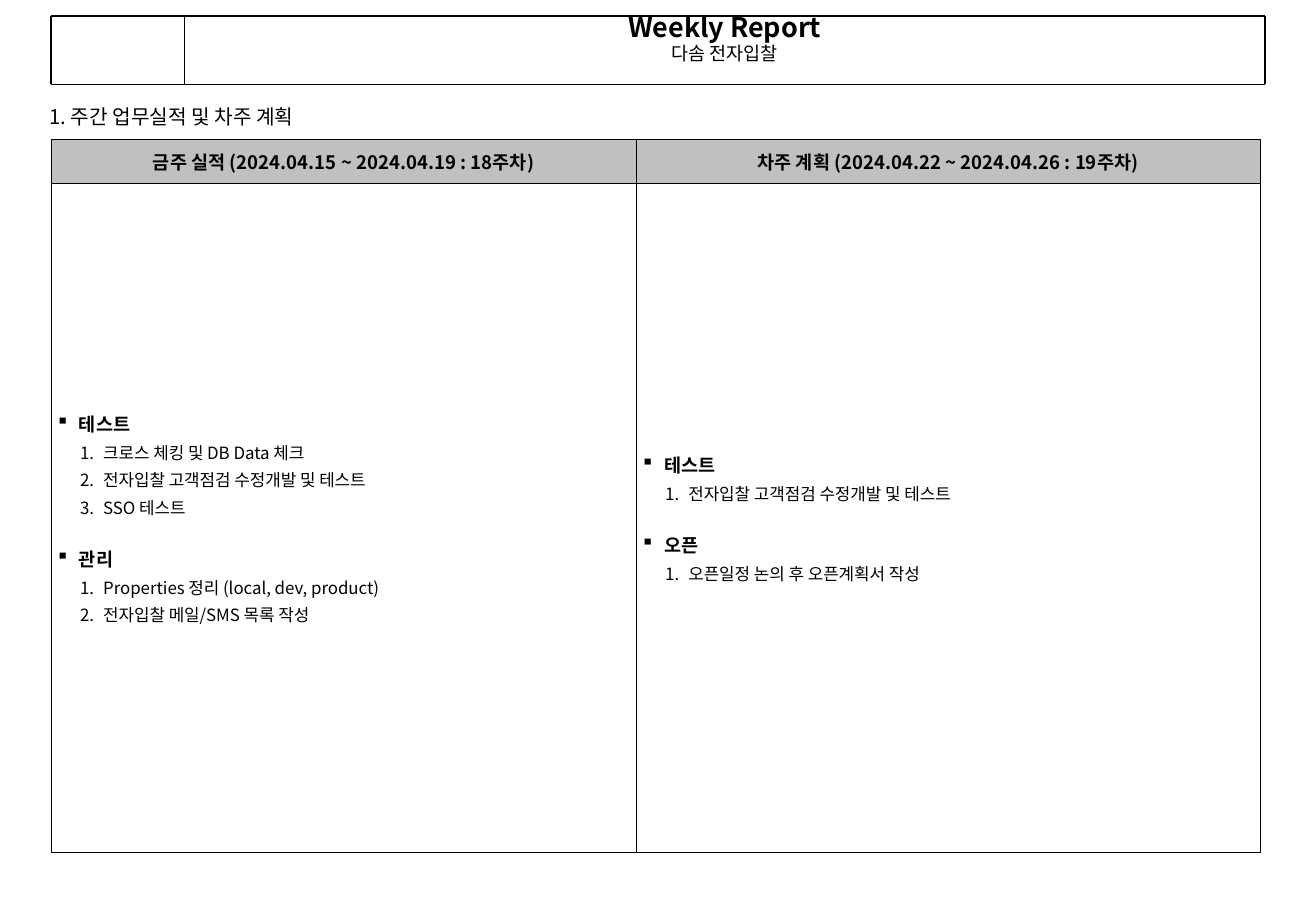
from lxml import etree
from pptx import Presentation
from pptx.dml.color import RGBColor
from pptx.enum.shapes import MSO_CONNECTOR
from pptx.enum.text import MSO_ANCHOR, MSO_AUTO_SIZE, PP_ALIGN
from pptx.oxml.ns import qn
from pptx.util import Pt

LINE = MSO_CONNECTOR.STRAIGHT
TOP, MIDDLE = MSO_ANCHOR.TOP, MSO_ANCHOR.MIDDLE
CENTER = PP_ALIGN.CENTER
NO_FIT = MSO_AUTO_SIZE.NONE

FONT = "Noto Sans CJK KR"
BLACK, GRAY = "000000", "C0C0C0"
SCALE = 9144  # EMU in one px, 100 px to the inch

HEADS = [
    "금주 실적 (2024.04.15 ~ 2024.04.19 : 18주차)",
    "차주 계획 (2024.04.22 ~ 2024.04.26 : 19주차)",
]
TASKS = [
    [
        ("테스트", ["크로스 체킹 및 DB Data 체크",
                 "전자입찰 고객점검 수정개발 및 테스트",
                 "SSO 테스트"]),
        ("관리", ["Properties 정리 (local, dev, product)",
                "전자입찰 메일/SMS 목록 작성"]),
    ],
    [
        ("테스트", ["전자입찰 고객점검 수정개발 및 테스트"]),
        ("오픈", ["오픈일정 논의 후 오픈계획서 작성"]),
    ],
]


def px(num):
    return int(num * SCALE)


def color(code):
    return RGBColor.from_string(code)


def style(para, size, bold=False):
    for run in para.runs:
        font = run.font
        font.name, font.size, font.bold = FONT, Pt(size), bold
        font.color.rgb = color(BLACK)
        etree.SubElement(run._r.rPr, qn("a:ea"), typeface=FONT)


def space(para, before, after):
    para.space_before, para.space_after = Pt(before), Pt(after)


def inset(frame, side, edge):
    frame.margin_left = frame.margin_right = px(side)
    frame.margin_top = frame.margin_bottom = px(edge)


def place(shape, left, top, width, height):
    shape.left, shape.top = px(left), px(top)
    shape.width, shape.height = px(width), px(height)


def rule(slide, x1, y1, x2, y2, weight):
    line = slide.shapes.add_connector(LINE, px(x1), px(y1), px(x2), px(y2))
    line.line.color.rgb = color(BLACK)
    line.line.width = Pt(weight)
    etree.SubElement(line._element.spPr, qn("a:effectLst"))


def bullet(para, tag, indent, **attrs):
    props = para._p.get_or_add_pPr()
    props.set("marL", str(px(indent)))
    props.set("indent", str(px(-19)))
    tint = etree.SubElement(props, qn("a:buClr"))
    etree.SubElement(tint, qn("a:srgbClr"), val=BLACK)
    etree.SubElement(props, qn(tag), **attrs)


def border(cell, **weights):
    props = cell._tc.get_or_add_tcPr()
    for side in "LRTB":
        width = Pt(weights.get(side, 0.45))
        edge = etree.SubElement(props, qn("a:ln" + side), w=str(width))
        fill = etree.SubElement(edge, qn("a:solidFill"))
        etree.SubElement(fill, qn("a:srgbClr"), val=BLACK)


def banner(slide):
    # Frame of the title block
    left, split, right, top, base = 42, 152, 1042, 13, 69
    for x, weight in ((split, 0.25), (left, 1.5), (right, 1.5)):
        rule(slide, x, top, x, base, weight)
    for y, weight in ((top, 1.5), (base, 0.25)):
        rule(slide, left, y, right, y, weight)

    # Title and project name
    title = slide.shapes.title
    place(title, split, top, right - split, base - top)
    frame = title.text_frame
    frame.auto_size, frame.vertical_anchor = NO_FIT, TOP
    inset(frame, 10, 0)
    frame.text = "Weekly Report\n다솜 전자입찰"
    for para, size, before in zip(frame.paragraphs, (16, 11), (0, 1.5)):
        para.alignment = CENTER
        para.line_spacing = 0.85
        space(para, before, 0)
        style(para, size, size == 16)


def heading(slide):
    box = slide.shapes.add_textbox(px(31), px(81), px(307), px(34))
    frame = box.text_frame
    frame.word_wrap = True
    inset(frame, 10, 5)
    frame.text = "1. 주간 업무실적 및 차주 계획"
    style(frame.paragraphs[0], 12)


def head(cell, text):
    inset(cell, 2, 5)
    cell.fill.solid()
    cell.fill.fore_color.rgb = color(GRAY)
    cell.text_frame.text = text
    para = cell.text_frame.paragraphs[0]
    para.alignment = CENTER
    space(para, 0, 2.8)
    style(para, 11, True)


def tasks(cell, groups):
    inset(cell, 4, 5)
    cell.fill.background()
    frame = cell.text_frame
    for group, (name, items) in enumerate(groups):
        para = frame.add_paragraph() if group else frame.paragraphs[0]
        para.text = name
        space(para, 14 if group else 0, 1)
        bullet(para, "a:buChar", 19, char="▪")
        style(para, 11, True)
        for item in items:
            para = frame.add_paragraph()
            para.text, para.level = item, 1
            space(para, 1, 1)
            bullet(para, "a:buAutoNum", 39, type="arabicPeriod")
            style(para, 10)


def report(slide):
    widths, heights = (482, 514), (36, 551)
    table = slide.shapes.add_table(
        2, 2, px(42), px(115), px(sum(widths)), px(sum(heights))).table
    table.first_row = table.horz_banding = False
    for row, height in zip(table.rows, heights):
        row.height = px(height)
    for col, width in enumerate(widths):
        table.columns[col].width = px(width)
        upper, lower = table.cell(0, col), table.cell(1, col)
        right = 0.75 if col else 0.45
        border(upper, T=0.75, R=right)
        border(lower, R=right)
        upper.vertical_anchor = lower.vertical_anchor = MIDDLE
        head(upper, HEADS[col])
        tasks(lower, TASKS[col])


def main():
    deck = Presentation()
    deck.slide_width, deck.slide_height = px(1084), px(750)
    slide = deck.slides.add_slide(deck.slide_layouts[5])
    banner(slide)
    heading(slide)
    report(slide)
    deck.save("out.pptx")


if __name__ == "__main__":
    main()
